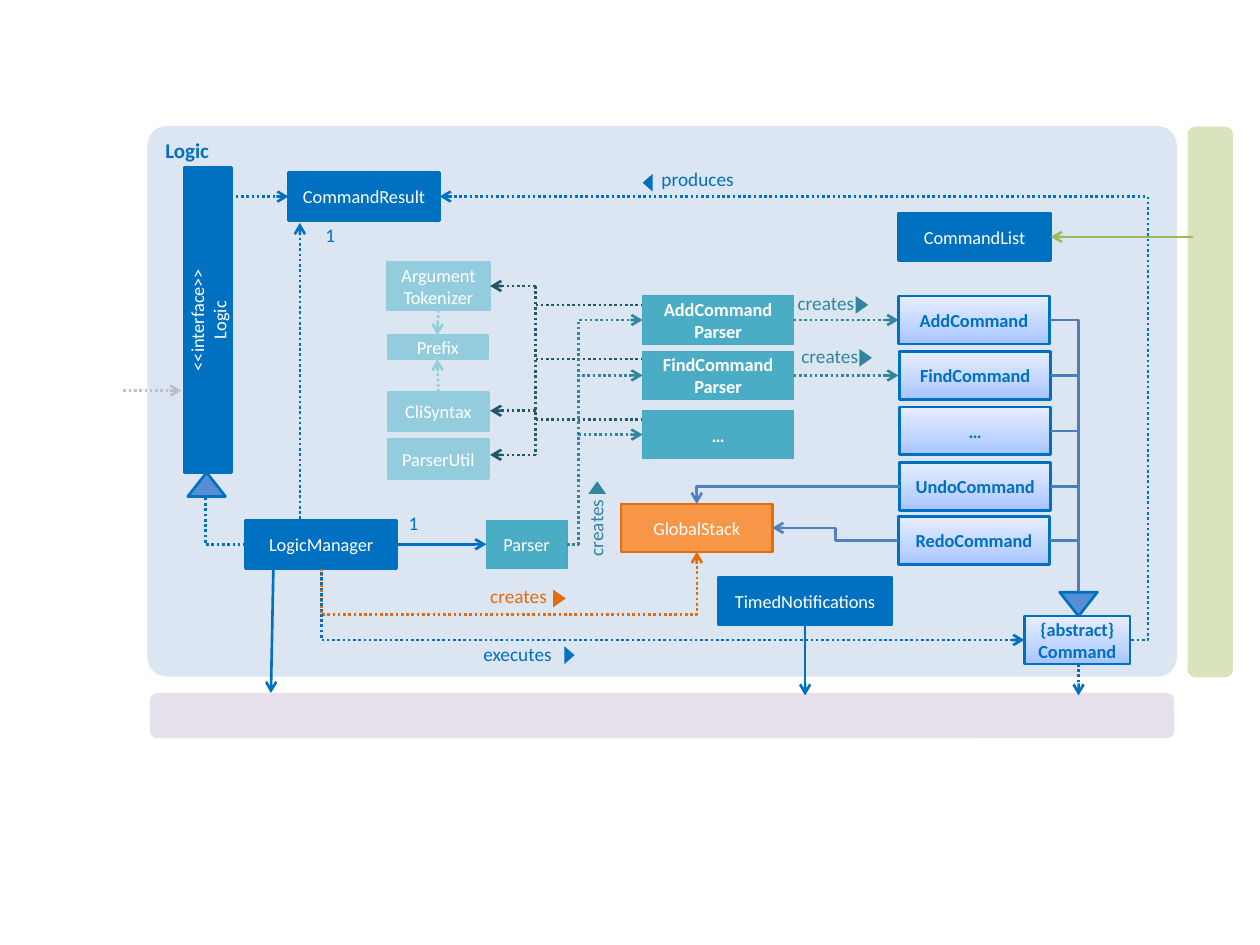
from lxml import etree
from pptx import Presentation
from pptx.dml.color import RGBColor
from pptx.enum.dml import MSO_LINE
from pptx.enum.shapes import MSO_CONNECTOR as MC, MSO_SHAPE as MS
from pptx.enum.text import MSO_ANCHOR as MA, PP_ALIGN as PA
from pptx.oxml import parse_xml
from pptx.oxml.ns import nsdecls, qn
from pptx.util import Inches, Pt

C = {
    "blue": "0070C0", "panel": "DCE6F2", "model": "E6E0EC", "ui": "D7E4BD",
    "white": "FFFFFF", "teal": "4BACC6", "teal_edge": "46AAC5", "teal_dark": "31859C",
    "pale_teal": "93CDDD", "deep_teal": "215968", "triangle": "558ED5",
    "inherit": "4B7EBC", "undo": "4F81BD", "orange": "F79646",
    "orange_dark": "E46C0A", "green": "9BBB59", "gray": "BFBFBF",
}
GRADIENT = ((0, "A4C4FF"), (35, "BFD4FF"), (100, "E6EEFF"))


def rgb(name):
    return RGBColor.from_string(C[name])


def write(tf, text, color, size=10.5, bold=False, align=PA.CENTER):
    tf.word_wrap = True
    for i, para in enumerate(text.split("\n")):
        p = tf.add_paragraph() if i else tf.paragraphs[0]
        p.alignment = align
        for j, part in enumerate(para.split("|")):
            if j:
                p.add_line_break()
            r = p.add_run()
            r.text = part
            r.font.name, r.font.size, r.font.bold = "Calibri", Pt(size), bold
            r.font.color.rgb = rgb(color)


def add_box(s, box, fill, edge=None, text="", color="white", size=10.5, bold=False,
            kind=MS.RECTANGLE, rot=0, width=1.5, align=PA.CENTER, anchor=MA.MIDDLE):
    sp = s.shapes.add_shape(kind, *map(Inches, box))
    sp.shadow.inherit = False
    sp.rotation = rot
    if fill == "gradient":
        stops = "".join(f'<a:gs pos="{pos * 1000}"><a:srgbClr val="{c}"/></a:gs>' for pos, c in GRADIENT)
        sp._element.spPr.find(qn("a:prstGeom")).addnext(parse_xml(
            f'<a:gradFill {nsdecls("a")} rotWithShape="1"><a:gsLst>{stops}</a:gsLst>'
            '<a:lin ang="16200000" scaled="0"/></a:gradFill>'))
    else:
        sp.fill.solid()
        sp.fill.fore_color.rgb = rgb(fill)
    if edge:
        sp.line.color.rgb = rgb(edge)
        sp.line.width = Pt(width)
    else:
        sp.line.fill.background()
    if text:
        sp.text_frame.vertical_anchor = anchor
        write(sp.text_frame, text, color, size, bold, align)
    return sp


def add_blue(s, box, text, rot=0):
    add_box(s, box, "blue", "blue", text, rot=rot)


def add_command(s, box, text):
    add_box(s, box, "gradient", "blue", text, "blue", bold=True)


def add_label(s, box, text, color, align=PA.LEFT, rot=0):
    tb = s.shapes.add_textbox(*map(Inches, box))
    tb.rotation = rot
    tf = tb.text_frame
    tf.margin_left = tf.margin_right = tf.margin_top = tf.margin_bottom = 0
    write(tf, text, color, 11, align=align)


def add_pointer(s, box, color, rot=90):
    add_box(s, box, color, kind=MS.ISOSCELES_TRIANGLE, rot=rot)


def add_line(s, start, end, color, dotted=False, head=False, tail=False, kind=MC.STRAIGHT):
    cn = s.shapes.add_connector(kind, *map(Inches, (*start, *end)))
    cn.line.color.rgb = rgb(color)
    cn.line.width = Pt(1.5)
    if dotted:
        cn.line.dash_style = MSO_LINE.ROUND_DOT
    ln = cn.line._get_or_add_ln()
    for tag, wanted in (("a:headEnd", head), ("a:tailEnd", tail)):
        if wanted:
            etree.SubElement(ln, qn(tag), type="arrow")
    etree.SubElement(cn._element.spPr, qn("a:effectLst"))
    return cn


def set_bend(cn, preset, adj=None):
    geom = cn._element.spPr.find(qn("a:prstGeom"))
    geom.set("prst", preset)
    if adj is not None:
        guide = etree.SubElement(geom.find(qn("a:avLst")), qn("a:gd"), name="adj1")
        guide.set("fmla", f"val {round(adj * 100000)}")


def add_corner(s, start, end, color, **style):
    set_bend(add_line(s, start, end, color, kind=MC.ELBOW, **style), "bentConnector2")


def add_step(s, start, end, mid_x, color, **style):
    cn = add_line(s, start, end, color, kind=MC.ELBOW, **style)
    set_bend(cn, "bentConnector3", (mid_x - start[0]) / (end[0] - start[0]))


def add_upright_step(s, start, end, mid_y, color, **style):
    (x1, y1), (x2, y2) = start, end
    cx, cy, dx, dy = (x1 + x2) / 2, (y1 + y2) / 2, x2 - x1, y2 - y1
    cn = add_line(s, (cx - dy / 2, cy + dx / 2), (cx + dy / 2, cy - dx / 2),
                  color, kind=MC.ELBOW, **style)
    cn._element.spPr.find(qn("a:xfrm")).set("rot", "5400000")
    set_bend(cn, "bentConnector3", (mid_y - y1) / dy)


def draw_components(s, box):
    x, y, w, h = box
    panel = add_box(s, box, "panel", text="Logic", color="blue", size=12, bold=True,
                    kind=MS.ROUNDED_RECTANGLE, align=PA.LEFT, anchor=MA.TOP)
    panel.adjustments[0] = 0.035
    add_box(s, (x + 0.02, y + h + 0.13, w - 0.04, 0.36), "model", kind=MS.ROUNDED_RECTANGLE)
    add_box(s, (x + 6.25, y + 2.01, h, 0.36), "ui", kind=MS.ROUNDED_RECTANGLE, rot=270)


def draw_manager(s, box):
    x, y, w, h = box
    add_blue(s, (x + 0.34, y, 1.2, 0.38), "CommandResult")
    add_blue(s, (x, y + 2.76, 1.2, 0.38), "LogicManager")
    add_blue(s, (x - 1.51, y + 0.98, 2.42, 0.38), "<<interface>>\nLogic", rot=270)
    add_box(s, (x - 0.46, y + 2.38, 0.3, 0.19), "triangle", "blue", kind=MS.ISOSCELES_TRIANGLE)
    add_line(s, (x - 0.12, y + 0.19), (x + 0.34, y + 0.19), "blue", dotted=True, tail=True)
    add_corner(s, (x, y + 2.95), (x - 0.32, y + 2.57), "blue", dotted=True)
    add_line(s, (x + 0.22, y + h), (x + 0.2, y + 4.13), "blue", tail=True)
    add_line(s, (x - 0.97, y + 1.73), (x - 0.51, y + 1.73), "gray", dotted=True, tail=True)
    add_line(s, (x + 0.43, y + 2.75), (x + 0.43, y + 0.4), "blue", dotted=True, tail=True)
    add_line(s, (x + w, y + 2.95), (x + 1.91, y + 2.95), "blue", tail=True)
    add_label(s, (x + 0.57, y + 0.4, 0.14, 0.25), "1", "blue", PA.RIGHT)
    add_label(s, (x + 1.23, y + 2.69, 0.14, 0.25), "1", "blue", PA.RIGHT)


def draw_tokenizers(s, box):
    x, y, w, h = box
    trunk = x + 1.18
    for dx, dy, bw, bh, text in ((0, 0, w, 0.38, "Argument|Tokenizer"), (0.01, 0.58, 0.79, 0.19, "Prefix"),
                                 (0.01, 1.03, 0.8, 0.31, "CliSyntax"), (0.01, 1.41, 0.8, 0.31, "ParserUtil")):
        add_box(s, (x + dx, y + dy, bw, bh), "pale_teal", "pale_teal", text)
    for top, end in ((0.38, 0.58), (1.03, 0.77)):
        add_line(s, (x + 0.41, y + top), (x + 0.4, y + end), "pale_teal", dotted=True, tail=True)
    for dy in (0.19, 1.18, 1.53):
        add_line(s, (trunk, y + dy), (x + w, y + dy), "deep_teal", dotted=True, tail=True)
    add_line(s, (trunk, y + 0.19), (trunk, y + 1.53), "deep_teal", dotted=True)
    for dy in (0.34, 0.77, 1.25):
        add_line(s, (trunk, y + dy), (x + 2.03, y + dy), "deep_teal", dotted=True)


def draw_parsers(s, box):
    x, y, w, h = box
    source = (x - 0.6, y + 1.97)
    add_box(s, (x - 1.24, y + 1.78, 0.64, h), "teal", "teal_edge", "Parser", width=0.75)
    for dy, text in ((0, "AddCommand\nParser"), (0.44, "FindCommand\nParser"), (0.91, "…")):
        add_box(s, (x, y + dy, w, h), "teal", "teal_edge", text, bold=True, width=0.75)
        add_step(s, source, (x, y + dy + h / 2), x - 0.51, "teal_dark", dotted=True, tail=True)
    for dx, dy in ((0, 0), (0.03, 0.42)):
        add_label(s, (x + 1.23 + dx, y - 0.04 + dy, 0.61, 0.28), "creates", "teal_dark")
        add_pointer(s, (x + 1.67 + dx, y + 0.02 + dy, 0.14, 0.1), "teal_dark")
    for dy in (0.19, 0.63):
        add_line(s, (x + w, y + dy), (x + 2.03, y + dy), "teal_dark", dotted=True, tail=True)
    add_label(s, (x - 0.63, y + 1.62, 0.61, 0.28), "creates", "teal_dark", rot=270)
    add_pointer(s, (x - 0.43, y + 1.47, 0.14, 0.1), "teal_dark", 0)


def draw_commands(s, box):
    x, y, w, h = box
    spine = x + 1.43
    for dx, dy, text in ((0, 0, "AddCommand"), (0.01, 0.44, "FindCommand"), (0.01, 0.88, "…"),
                         (0.01, 1.32, "UndoCommand"), (0, 1.75, "RedoCommand")):
        add_command(s, (x + dx, y + dy, w, h), text)
        add_corner(s, (x + dx + w, y + dy + h / 2), (spine, y + 2.35), "inherit")
    add_box(s, (spine - 0.15, y + 2.35, 0.3, 0.19), "triangle", "blue",
            kind=MS.ISOSCELES_TRIANGLE, rot=180)
    add_command(s, (x + 1, y + 2.54, 0.84, h), "{abstract}|Command")
    add_line(s, (spine, y + 2.92), (spine, y + 3.17), "blue", dotted=True, tail=True)
    add_blue(s, (x, y - 0.66, 1.21, h), "CommandList")
    add_line(s, (x + 2.34, y - 0.47), (x + 1.21, y - 0.47), "green", tail=True)


def draw_stack(s, box):
    x, y, w, h = box
    add_box(s, box, "orange", "orange_dark", "GlobalStack")
    add_corner(s, (x + 2.21, y - 0.14), (x + 0.6, y), "undo", tail=True)
    add_step(s, (x + 2.2, y + 0.29), (x + w, y + 0.19), x + 1.7, "undo", tail=True)
    add_upright_step(s, (x - 2.38, y + 0.51), (x + 0.6, y + h), y + 0.88,
                     "orange_dark", dotted=True, tail=True)
    add_label(s, (x - 1.04, y + 0.64, 0.61, 0.28), "creates", "orange_dark")
    add_pointer(s, (x - 0.56, y + 0.7, 0.14, 0.1), "orange_dark")
    add_blue(s, (x + 0.77, y + 0.58, 1.38, h), "TimedNotifications")
    add_line(s, (x + 1.46, y + 0.96), (x + 1.46, y + 1.52), "blue", tail=True)


def draw_command_flow(s, box):
    x, y, w, h = box
    add_corner(s, (x + 5.58, y + h), (x, y + 2.95), "blue", dotted=True, head=True)
    add_step(s, (x + 6.43, y + h), (x + 0.94, y), x + w, "blue", dotted=True, tail=True)
    add_label(s, (x + 1.03, y + 3.54, 0.8, 0.25), "executes", "blue", PA.RIGHT)
    add_pointer(s, (x + 1.9, y + 3.6, 0.14, 0.08), "blue")
    add_label(s, (x + 2.7, y - 0.23, 0.8, 0.25), "produces", "blue")
    add_pointer(s, (x + 2.52, y - 0.15, 0.14, 0.08), "blue", 270)


def main():
    prs = Presentation()
    prs.slide_width, prs.slide_height = Inches(10), Inches(7.5)
    s = prs.slides.add_slide(prs.slide_layouts[6])
    draw_components(s, (1.17, 1, 8.17, 4.37))
    draw_manager(s, (1.95, 1.37, 1.2, 3.14))
    draw_tokenizers(s, (3.07, 2.08, 0.82, 1.72))
    draw_parsers(s, (5.1, 2.35, 1.2, 0.38))
    draw_commands(s, (7.13, 2.35, 1.2, 0.38))
    draw_stack(s, (4.93, 4, 1.2, 0.38))
    draw_command_flow(s, (2.55, 1.56, 6.56, 3.52))
    prs.save("out.pptx")


if __name__ == "__main__":
    main()
